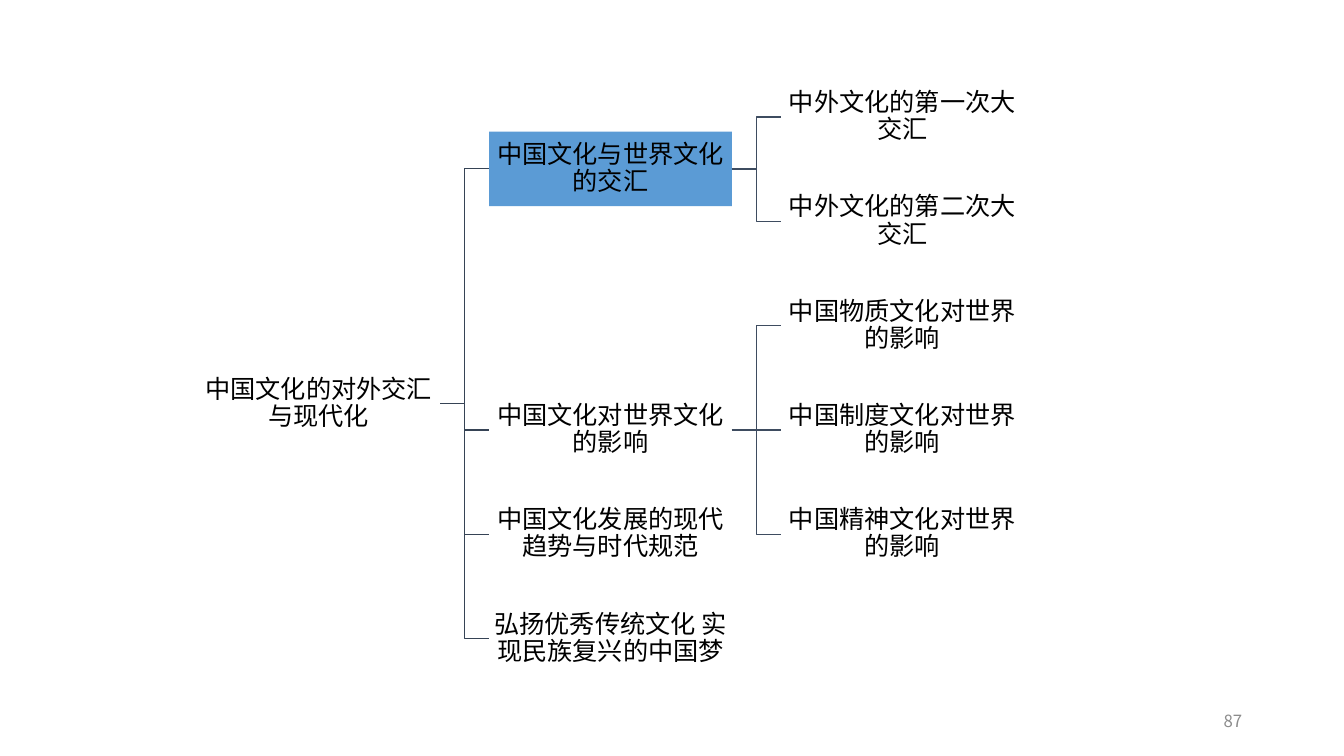
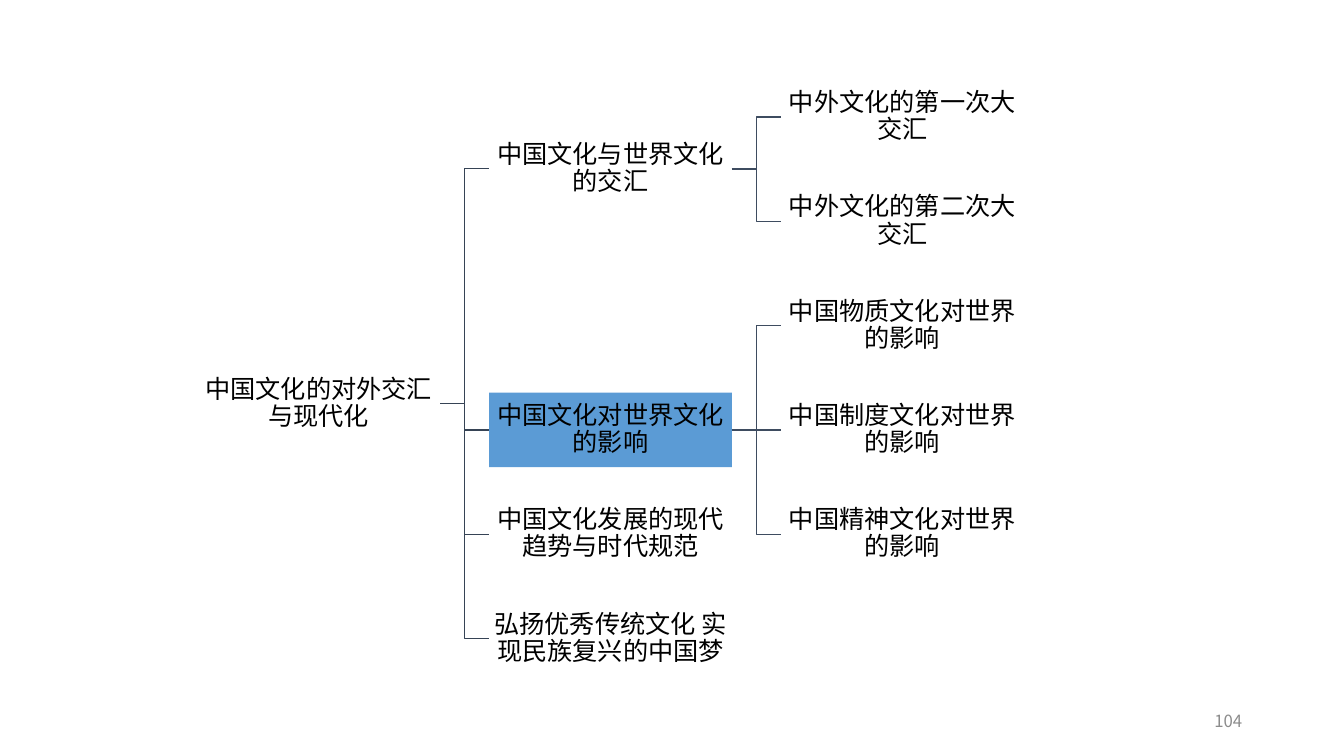
import collections
from dataclasses import dataclass

import pptx
import pptx.dml.color
import pptx.enum.shapes
import pptx.enum.text
import pptx.oxml.ns
import pptx.util
from lxml import etree

EMU_PER_PX = 4572  # 200 px to the inch


@dataclass(frozen=True)
class Theme:
    font: str = "Noto Sans CJK SC"
    node_size: int = 18
    number_size: int = 12
    text: str = "000000"
    number: str = "8C8C8C"
    plain: str = "FFFFFF"
    highlight: str = "5B9BD5"
    branch_lines: tuple = ("364355", "3E4C60")  # by depth of the parent
    line_width: int = 1


THEME = Theme()

SLIDE_WIDTH, SLIDE_HEIGHT = 2666, 1500
NODE_WIDTH, NODE_HEIGHT = 482, 148
TREE_LEFT, FIRST_ROW_CENTRE = 391, 232
COLUMN_PITCH, ROW_PITCH = 579, 207
NODE_INSET = 2

EXCHANGE = "中国文化与世界文化的交汇"
INFLUENCE = "中国文化对世界文化的影响"

# Each node is (text, children).
OUTLINE = ("中国文化的对外交汇与现代化", [
    (EXCHANGE, [
        ("中外文化的第一次大交汇", []),
        ("中外文化的第二次大交汇", []),
    ]),
    (INFLUENCE, [
        ("中国物质文化对世界的影响", []),
        ("中国制度文化对世界的影响", []),
        ("中国精神文化对世界的影响", []),
    ]),
    ("中国文化发展的现代趋势与时代规范", []),
    ("弘扬优秀传统文化 实现民族复兴的中国梦", []),
])

# Each slide is (highlighted node, page number).
PAGES = [(EXCHANGE, "87"), (INFLUENCE, "104")]


def px(length):
    return pptx.util.Emu(length * EMU_PER_PX)


def rgb(colour):
    return pptx.dml.color.RGBColor.from_string(colour)


def write(shape, text, size, colour, alignment):
    frame = shape.text_frame
    frame.word_wrap = True
    frame.vertical_anchor = pptx.enum.text.MSO_ANCHOR.MIDDLE
    paragraph = frame.paragraphs[0]
    paragraph.alignment = alignment
    run = paragraph.add_run()
    run.text = text
    run.font.size = pptx.util.Pt(size)
    run.font.name = THEME.font
    run.font.color.rgb = rgb(colour)
    east_asian = etree.SubElement(run.font._element, pptx.oxml.ns.qn("a:ea"))
    east_asian.set("typeface", THEME.font)
    return frame


def add_node(slide, text, depth, centre, fill):
    shape = slide.shapes.add_shape(
        pptx.enum.shapes.MSO_SHAPE.RECTANGLE,
        px(TREE_LEFT + depth * COLUMN_PITCH), px(centre - NODE_HEIGHT // 2),
        px(NODE_WIDTH), px(NODE_HEIGHT))
    shape.shadow.inherit = False
    shape.fill.solid()
    shape.fill.fore_color.rgb = rgb(fill)
    shape.line.fill.background()
    frame = write(shape, text, THEME.node_size, THEME.text,
                  pptx.enum.text.PP_ALIGN.CENTER)
    frame.margin_left = frame.margin_right = px(NODE_INSET)
    frame.margin_top = frame.margin_bottom = px(NODE_INSET)
    frame.paragraphs[0].line_spacing = 0.9
    return shape


def add_branch(slide, parent, child, colour):
    """Link the right side of the parent to the left side of the child."""
    kinds = pptx.enum.shapes.MSO_CONNECTOR
    kind = kinds.STRAIGHT if parent.top == child.top else kinds.ELBOW
    connector = slide.shapes.add_connector(kind, 0, 0, 0, 0)
    connector.begin_connect(parent, 3)
    connector.end_connect(child, 1)
    connector.line.color.rgb = rgb(colour)
    connector.line.width = pptx.util.Pt(THEME.line_width)
    etree.SubElement(connector._element.spPr, pptx.oxml.ns.qn("a:effectLst"))


def add_tree(slide, node, highlighted, free_centres, depth=0):
    """Draw a subtree; return the shape and the centre height of its root.

    A leaf takes the next free place in its column (free_centres, by depth),
    and a parent is centred on its first and last child.
    """
    text, children = node
    branches = [add_tree(slide, child, highlighted, free_centres, depth + 1)
                for child in children]
    if branches:
        centre = (branches[0][1] + branches[-1][1]) // 2
    else:
        centre = free_centres[depth]
    free_centres[depth] = centre + ROW_PITCH
    fill = THEME.highlight if text == highlighted else THEME.plain
    root = add_node(slide, text, depth, centre, fill)
    for branch, _ in branches:
        add_branch(slide, root, branch, THEME.branch_lines[depth])
    return root, centre


def add_page_number(slide, number):
    box = slide.shapes.add_textbox(px(1884), px(1390), px(600), px(80))
    write(box, number, THEME.number_size, THEME.number,
          pptx.enum.text.PP_ALIGN.RIGHT)


def main():
    presentation = pptx.Presentation()
    presentation.slide_width = px(SLIDE_WIDTH)
    presentation.slide_height = px(SLIDE_HEIGHT)
    blank_layout = presentation.slide_layouts[6]
    for highlighted, number in PAGES:
        slide = presentation.slides.add_slide(blank_layout)
        free_centres = collections.defaultdict(lambda: FIRST_ROW_CENTRE)
        add_tree(slide, OUTLINE, highlighted, free_centres)
        add_page_number(slide, number)
    presentation.save("out.pptx")


if __name__ == "__main__":
    main()
